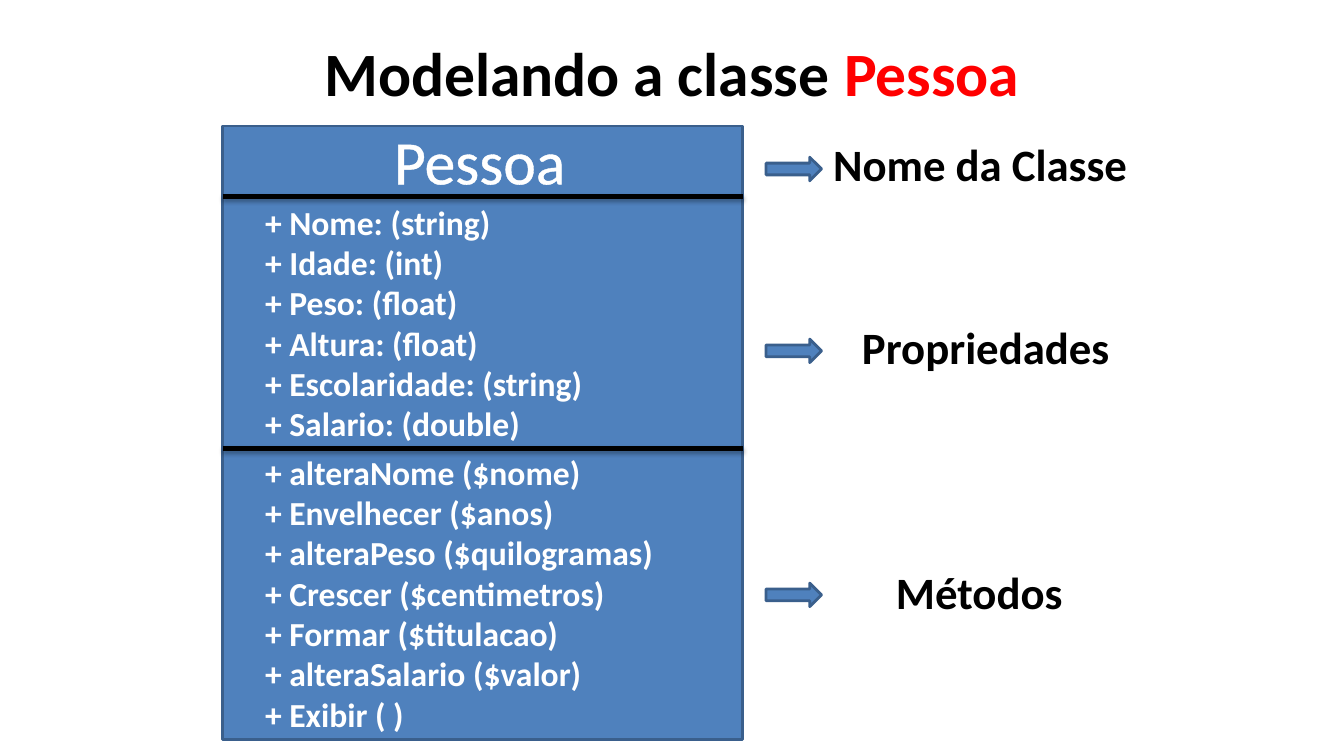
from lxml import etree
from pptx import Presentation
from pptx.dml.color import RGBColor
from pptx.enum.shapes import MSO_CONNECTOR, MSO_SHAPE
from pptx.enum.text import MSO_ANCHOR, PP_ALIGN
from pptx.oxml import parse_xml
from pptx.oxml.ns import nsdecls, qn
from pptx.util import Pt

LEFT, CENTER = PP_ALIGN.LEFT, PP_ALIGN.CENTER
MIDDLE = MSO_ANCHOR.MIDDLE
RECTANGLE, RIGHT_ARROW = MSO_SHAPE.RECTANGLE, MSO_SHAPE.RIGHT_ARROW
STRAIGHT = MSO_CONNECTOR.STRAIGHT
BLACK, WHITE, RED = "000000", "FFFFFF", "FF0000"
BLUE, DARK_BLUE = "4F81BD", "3A5F8C"


def add_text(lines, left, top, width, height, size, color, bold=True,
             align=CENTER, wrap=False):
    box = slide.shapes.add_textbox(Pt(left), Pt(top), Pt(width), Pt(height))
    frame = box.text_frame
    frame.word_wrap = wrap
    frame.text = "\n".join(lines)
    for paragraph in frame.paragraphs:
        paragraph.alignment = align
        paragraph.font.name = "Calibri"
        paragraph.font.size = Pt(size)
        paragraph.font.bold = bold
        paragraph.font.color.rgb = RGBColor.from_string(color)
    return frame


def add_blue_shape(kind, left, top, width, height):
    shape = slide.shapes.add_shape(kind, Pt(left), Pt(top), Pt(width), Pt(height))
    shape.shadow.inherit = False
    shape.fill.solid()
    shape.fill.fore_color.rgb = RGBColor.from_string(BLUE)
    shape.line.color.rgb = RGBColor.from_string(DARK_BLUE)
    shape.line.width = Pt(2)


presentation = Presentation()
presentation.slide_width, presentation.slide_height = Pt(960), Pt(540)
slide = presentation.slides.add_slide(presentation.slide_layouts[6])

# Title
title = add_text(["Modelando a classe "], 156, 6, 648, 90, 44, BLACK, wrap=True)
title.vertical_anchor = MIDDLE
class_run = title.paragraphs[0].add_run()
class_run.text = "Pessoa"
class_run.font.color.rgb = RGBColor.from_string(RED)

# Class box with its two separators
box_left, box_width = 159, 371.5
add_blue_shape(RECTANGLE, box_left, 90, box_width, 438.5)
for separator_top in (140.4, 320.4):
    separator = slide.shapes.add_connector(
        STRAIGHT, Pt(box_left), Pt(separator_top),
        Pt(box_left + box_width), Pt(separator_top))
    separator.line.color.rgb = RGBColor.from_string(BLACK)
    separator.line.width = Pt(3)
    effects = etree.SubElement(separator._element.spPr, qn("a:effectLst"))
    shadow = etree.SubElement(effects, qn("a:outerShdw"), blurRad=str(Pt(3.1)),
                              dist=str(Pt(1.8)), dir="5400000", rotWithShape="0")
    shadow_color = etree.SubElement(shadow, qn("a:srgbClr"), val=BLACK)
    etree.SubElement(shadow_color, qn("a:alpha"), val="35000")

# Class name, with outlined letters
class_name = add_text(["Pessoa"], 273.6, 84.2, 138.2, 60.5, 44, WHITE, bold=False)
outline = parse_xml(
    f'<a:ln {nsdecls("a")} w="{Pt(1.45)}"><a:solidFill>'
    f'<a:srgbClr val="{WHITE}"/></a:solidFill></a:ln>')
class_name.paragraphs[0].runs[0]._r.get_or_add_rPr().insert(0, outline)

# Properties and methods
properties = ["Nome: (string)", "Idade: (int)", "Peso: (float)",
              "Altura: (float)", "Escolaridade: (string)", "Salario: (double)"]
methods = ["alteraNome ($nome)", "Envelhecer ($anos)",
           "alteraPeso ($quilogramas)", "Crescer ($centimetros)",
           "Formar ($titulacao)", "alteraSalario ($valor)", "Exibir ( )"]
for members, top, height in ((properties, 140.4, 181.4), (methods, 319, 211)):
    add_text([f"+ {member}" for member in members], 182.2, top, 320.4, height,
             24, WHITE, align=LEFT, wrap=True)

# Labels and the arrows that lead to them
labels = [
    ("Nome da Classe", 586.8, 94.3, 226.8, 112.3),
    ("Propriedades", 607.7, 224.6, 193, 242.2),
    ("Métodos", 632.2, 399.6, 134.6, 416.5),
]
for label, left, top, width, arrow_top in labels:
    add_text([label], left, top, width, 46, 32, BLACK)
    add_blue_shape(RIGHT_ARROW, 547.2, arrow_top, 39.6, 16.8)

presentation.save("out.pptx")
